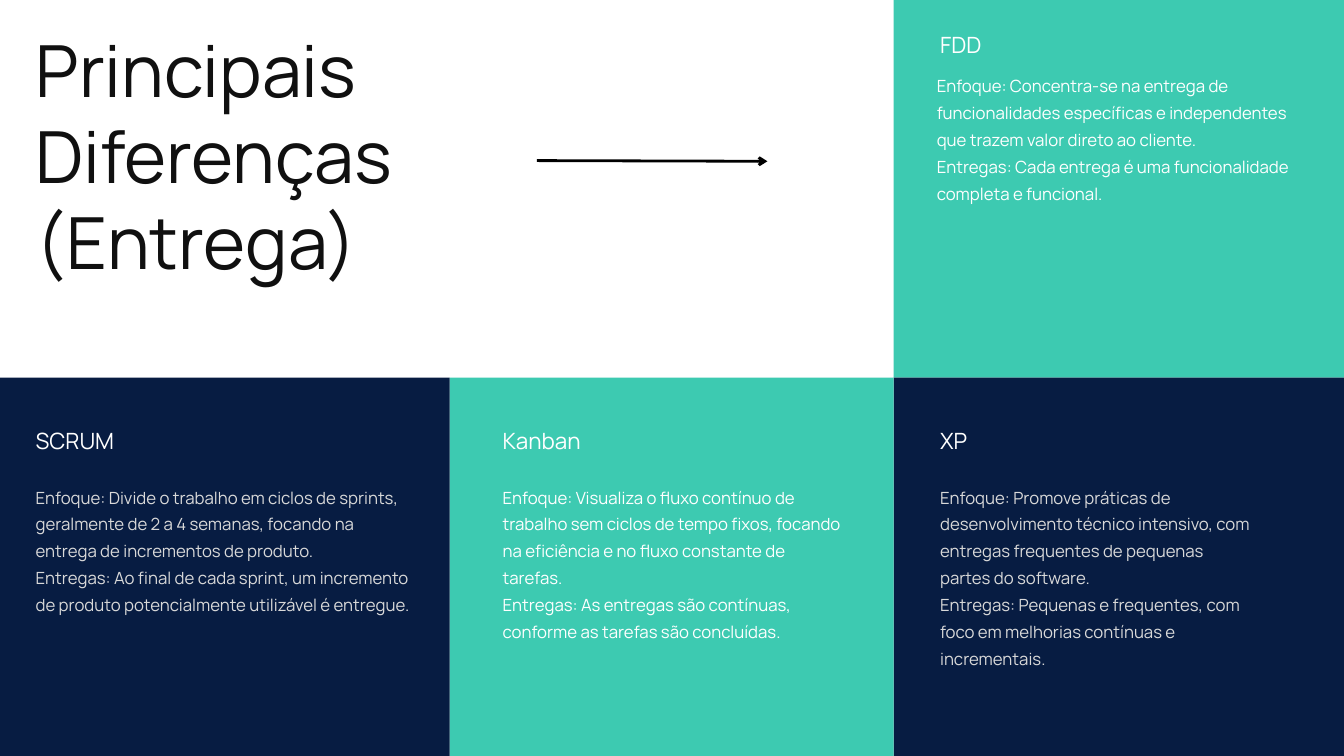
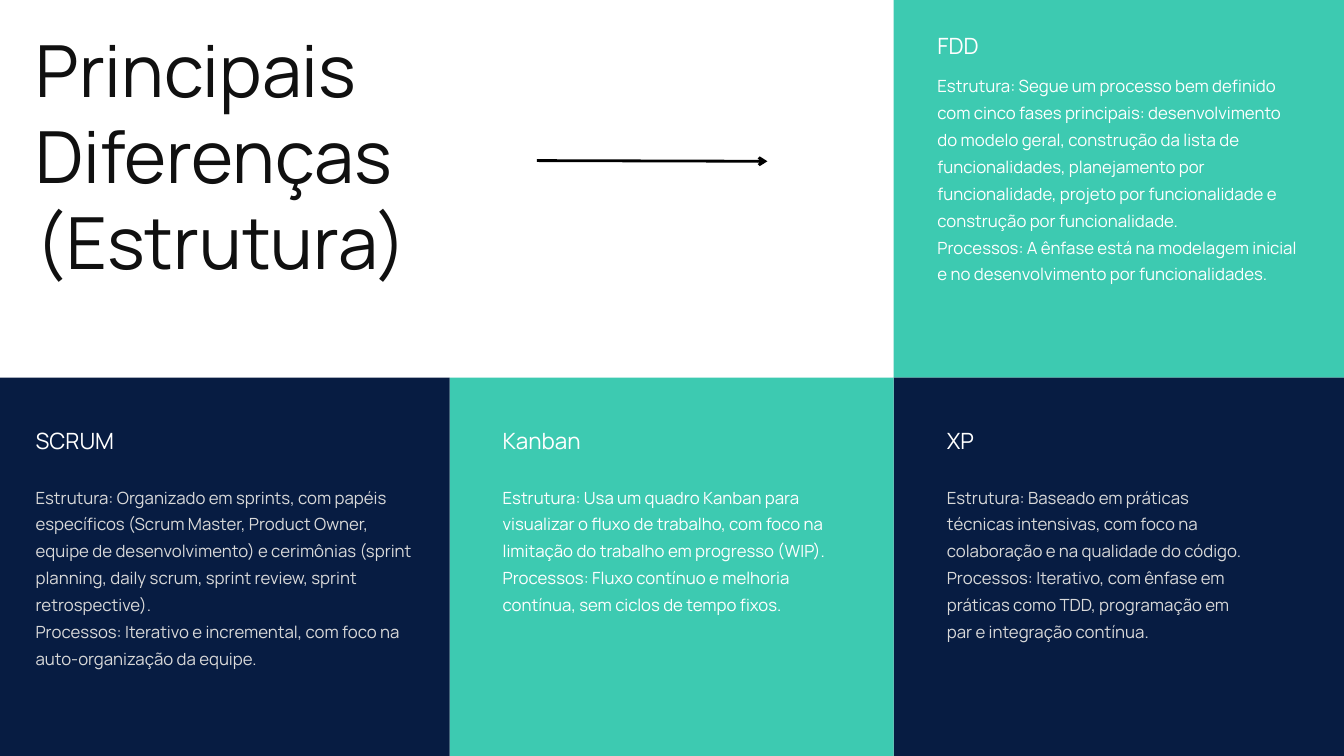
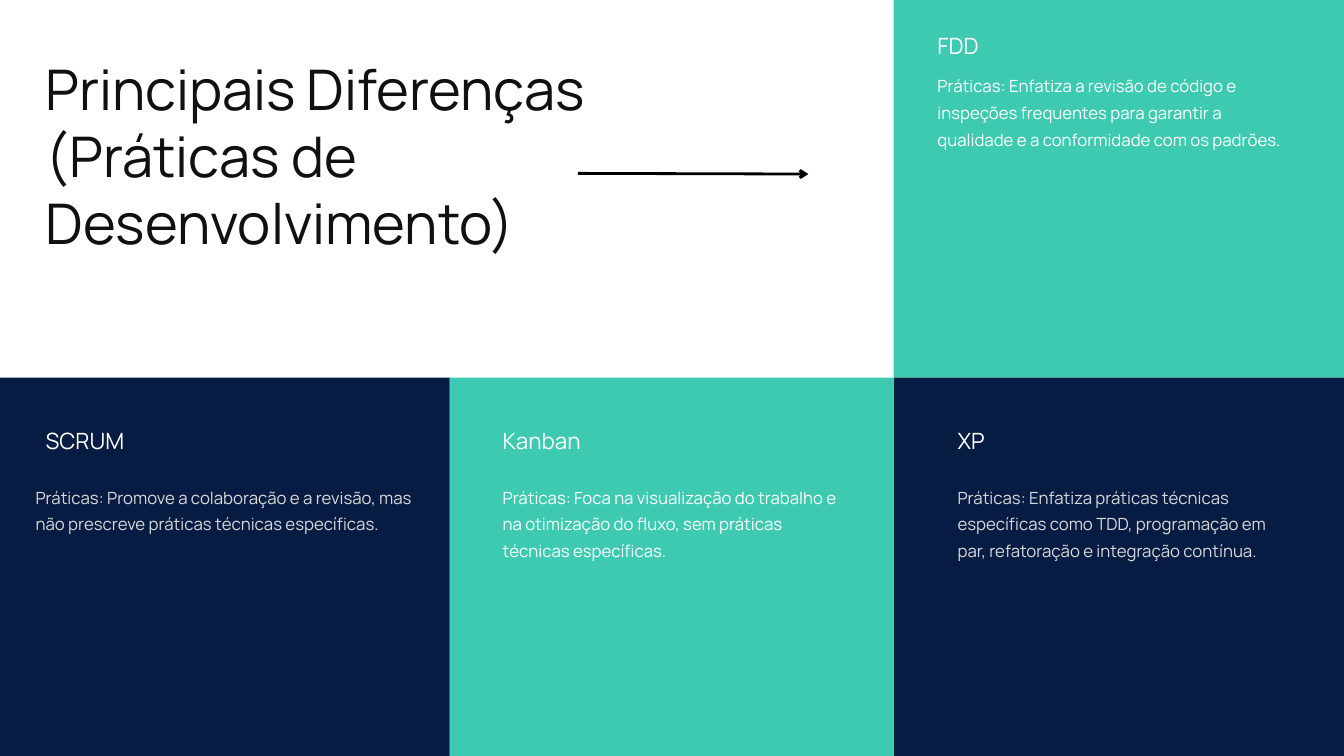
import pptx
import pptx.dml.color
import pptx.enum.shapes
import pptx.enum.text
import pptx.oxml.xmlchemy
import pptx.util
from pptx.util import Inches

FONT = "Manrope"
COLORS = {
    "ink": "101010", "black": "000000", "white": "FFFFFF",
    "grey": "D9D9D9", "navy": "071C42", "green": "3DCAB1",
}

# Each card: heading left and top, body left and height, body paragraphs
SLIDES = [
    {
        "title": "Principais Diferenças (Entrega)",
        "title_at": (0.53, 0.38, 7.76, 3.92), "title_size": 77,
        "arrow_at": (7.99, 2.39),
        "cards": {
            "SCRUM": (0.53, 6.29, 0.53, 3.16, [
                "Enfoque: Divide o trabalho em ciclos de sprints, geralmente de 2 a 4 semanas, "
                "focando na entrega de incrementos de produto.",
                "Entregas: Ao final de cada sprint, um incremento de produto potencialmente "
                "utilizável é entregue."]),
            "Kanban": (7.48, 6.29, 7.48, 2.76, [
                "Enfoque: Visualiza o fluxo contínuo de trabalho sem ciclos de tempo fixos, "
                "focando na eficiência e no fluxo constante de tarefas.",
                "Entregas: As entregas são contínuas, conforme as tarefas são concluídas."]),
            "XP": (13.99, 6.29, 13.99, 3.56, [
                "Enfoque: Promove práticas de desenvolvimento técnico intensivo, com entregas "
                "frequentes de pequenas partes do software.",
                "Entregas: Pequenas e frequentes, com foco em melhorias contínuas e "
                "incrementais."]),
            "FDD": (13.99, 0.4, 13.94, 3.16, [
                "Enfoque: Concentra-se na entrega de funcionalidades específicas e "
                "independentes que trazem valor direto ao cliente.",
                "Entregas: Cada entrega é uma funcionalidade completa e funcional."]),
        },
    },
    {
        "title": "Principais Diferenças (Estrutura)",
        "title_at": (0.53, 0.38, 7.76, 3.92), "title_size": 77,
        "arrow_at": (7.99, 2.39),
        "cards": {
            "SCRUM": (0.53, 6.29, 0.53, 3.16, [
                "Estrutura: Organizado em sprints, com papéis específicos (Scrum Master, "
                "Product Owner, equipe de desenvolvimento) e cerimônias (sprint planning, "
                "daily scrum, sprint review, sprint retrospective).",
                "Processos: Iterativo e incremental, com foco na auto-organização da equipe."]),
            "Kanban": (7.48, 6.29, 7.48, 2.76, [
                "Estrutura: Usa um quadro Kanban para visualizar o fluxo de trabalho, com foco "
                "na limitação do trabalho em progresso (WIP).",
                "Processos: Fluxo contínuo e melhoria contínua, sem ciclos de tempo fixos."]),
            "XP": (14.09, 6.29, 14.09, 3.16, [
                "Estrutura: Baseado em práticas técnicas intensivas, com foco na colaboração e "
                "na qualidade do código.",
                "Processos: Iterativo, com ênfase em práticas como TDD, programação em par e "
                "integração contínua."]),
            "FDD": (13.95, 0.41, 13.95, 4.35, [
                "Estrutura: Segue um processo bem definido com cinco fases principais: "
                "desenvolvimento do modelo geral, construção da lista de funcionalidades, "
                "planejamento por funcionalidade, projeto por funcionalidade e construção por "
                "funcionalidade.",
                "Processos: A ênfase está na modelagem inicial e no desenvolvimento por "
                "funcionalidades."]),
        },
    },
    {
        "title": "Principais Diferenças (Práticas de Desenvolvimento)",
        "title_at": (0.68, 0.81, 8.08, 4.04), "title_size": 60,
        "arrow_at": (8.6, 2.58),
        "cards": {
            "SCRUM": (0.68, 6.29, 0.53, 1.18, [
                "Práticas: Promove a colaboração e a revisão, mas não prescreve práticas "
                "técnicas específicas."]),
            "Kanban": (7.48, 6.29, 7.48, 1.18, [
                "Práticas: Foca na visualização do trabalho e na otimização do fluxo, sem "
                "práticas técnicas específicas."]),
            "XP": (14.25, 6.29, 14.25, 1.58, [
                "Práticas: Enfatiza práticas técnicas específicas como TDD, programação em "
                "par, refatoração e integração contínua."]),
            "FDD": (13.95, 0.41, 13.95, 1.58, [
                "Práticas: Enfatiza a revisão de código e inspeções frequentes para garantir a "
                "qualidade e a conformidade com os padrões."]),
        },
    },
]

# Shared grid: three columns, two rows
COLUMNS = (0, 6.69, 13.3, 20)
ROWS = (0, 5.62, 11.25)
# Method: column, row, panel colour, heading width, body top, body width, body colour
PANELS = {
    "SCRUM": (0, 1, "navy", 3.84, 7.15, 5.64, "grey"),
    "Kanban": (1, 1, "green", 4.44, 7.15, 5.04, "white"),
    "XP": (2, 1, "navy", 3.84, 7.15, 4.62, "grey"),
    "FDD": (2, 0, "green", 4.44, 1.03, 5.41, "white"),
}
ARROW_LENGTH, ARROW_DROP = 3.43, 0.01


def rgb(name):
    return pptx.dml.color.RGBColor.from_string(COLORS[name])


def append_element(parent, tag, **attributes):
    element = pptx.oxml.xmlchemy.OxmlElement(tag)
    for name, value in attributes.items():
        element.set(name, value)
    parent.append(element)


def place(box, left, top, width, height):
    box.left, box.top = Inches(left), Inches(top)
    box.width, box.height = Inches(width), Inches(height)


def write_text(box, paragraphs, *, size, leading, color):
    frame = box.text_frame
    frame.word_wrap = True
    frame.auto_size = pptx.enum.text.MSO_AUTO_SIZE.NONE
    frame.vertical_anchor = pptx.enum.text.MSO_ANCHOR.TOP
    frame.margin_left = frame.margin_right = frame.margin_top = frame.margin_bottom = 0
    for index, text in enumerate(paragraphs):
        para = frame.add_paragraph() if index else frame.paragraphs[0]
        para.alignment = pptx.enum.text.PP_ALIGN.LEFT
        para.line_spacing = pptx.util.Pt(leading)
        para.space_before = para.space_after = pptx.util.Pt(0)
        # Plain paragraphs: no bullet, no hanging indent
        properties = para._p.get_or_add_pPr()
        properties.set("marL", "0")
        properties.set("indent", "0")
        append_element(properties, "a:buNone")
        span = para.add_run()
        span.text = text
        span.font.name = FONT
        span.font.size = pptx.util.Pt(size)
        span.font.bold = False
        span.font.color.rgb = rgb(color)


def add_panel(page, column, row, color):
    left, top = COLUMNS[column], ROWS[row]
    panel = page.shapes.add_shape(
        pptx.enum.shapes.MSO_SHAPE.RECTANGLE, Inches(left), Inches(top),
        Inches(COLUMNS[column + 1] - left), Inches(ROWS[row + 1] - top))
    panel.shadow.inherit = False
    panel.fill.solid()
    panel.fill.fore_color.rgb = rgb(color)
    panel.line.fill.background()
    # Panels lie behind the placeholders
    page.shapes._spTree.insert(2, panel._element)


def add_arrow(page, left, top):
    arrow = page.shapes.add_connector(
        pptx.enum.shapes.MSO_CONNECTOR.STRAIGHT, Inches(left), Inches(top),
        Inches(left + ARROW_LENGTH), Inches(top + ARROW_DROP))
    arrow.line.color.rgb = rgb("black")
    arrow.line.width = pptx.util.Pt(3)
    append_element(arrow.line._get_or_add_ln(), "a:tailEnd", type="arrow")
    append_element(arrow._element.spPr, "a:effectLst")


def add_card(page, body, name, card):
    heading_left, heading_top, body_left, body_height, paragraphs = card
    column, row, panel_color, heading_width, body_top, body_width, body_color = PANELS[name]
    add_panel(page, column, row, panel_color)
    heading = page.shapes.add_textbox(
        Inches(heading_left), Inches(heading_top), Inches(heading_width), Inches(0.46))
    write_text(heading, [name], size=24, leading=33.6, color="white")
    place(body, body_left, body_top, body_width, body_height)
    write_text(body, paragraphs, size=18, leading=28.8, color=body_color)


def build_slide(deck, content):
    # The comparison layout holds a title and four bodies
    page = deck.slides.add_slide(deck.slide_layouts.get_by_name("Comparison"))
    page.background.fill.solid()
    page.background.fill.fore_color.rgb = rgb("white")
    title, *bodies = page.placeholders
    place(title, *content["title_at"])
    size = content["title_size"]
    write_text(title, [content["title"]], size=size, leading=size * 1.2, color="ink")
    for body, (name, card) in zip(bodies, content["cards"].items()):
        add_card(page, body, name, card)
    add_arrow(page, *content["arrow_at"])


def main():
    deck = pptx.Presentation()
    deck.slide_width, deck.slide_height = Inches(COLUMNS[-1]), Inches(ROWS[-1])
    for content in SLIDES:
        build_slide(deck, content)
    deck.save("out.pptx")


if __name__ == "__main__":
    main()
